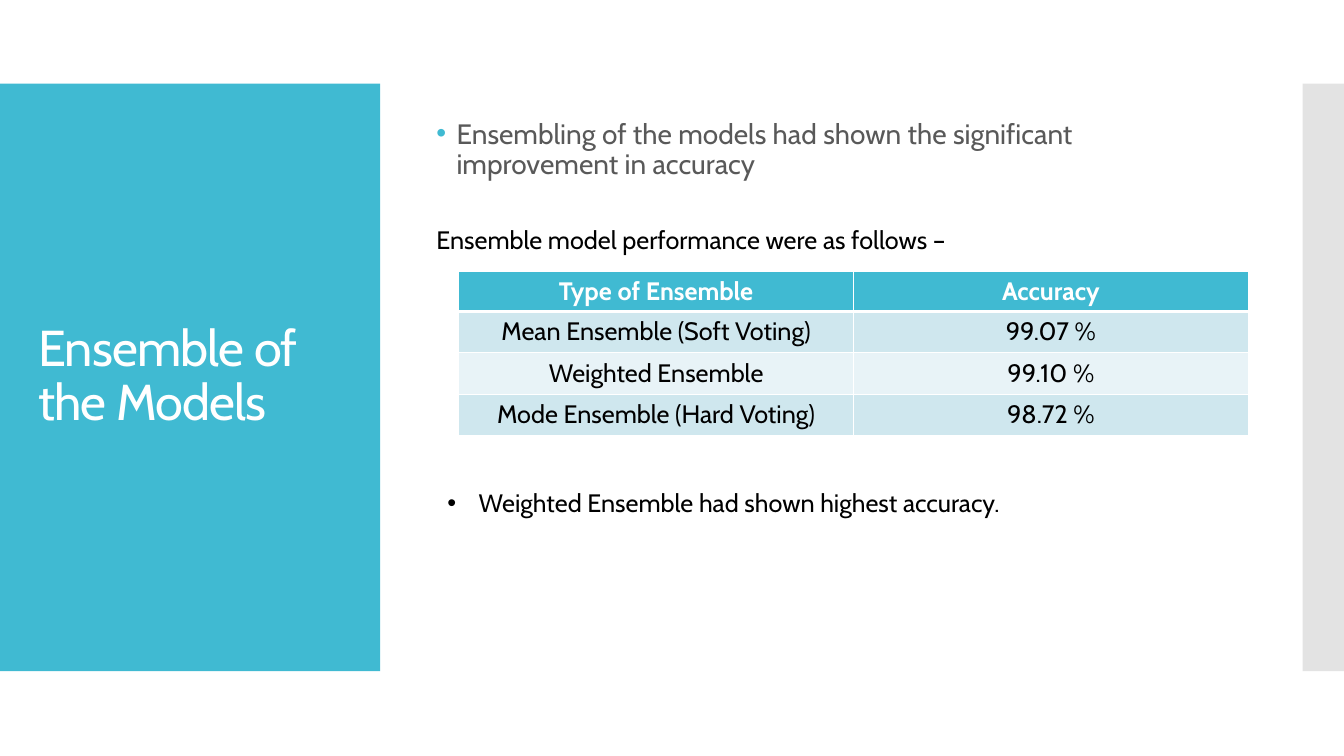
import pptx
import pptx.util
import pptx.dml.color
import pptx.enum.shapes
import pptx.enum.text
import pptx.oxml
import pptx.oxml.ns
from lxml import etree

Inches, Pt = pptx.util.Inches, pptx.util.Pt
qn = pptx.oxml.ns.qn
ANCHOR = pptx.enum.text.MSO_ANCHOR
ALIGN = pptx.enum.text.PP_ALIGN

COLORS = {
    "teal": "40BAD2", "gray": "C8C8C8", "white": "FFFFFF", "black": "000000",
    "body": "595959", "band_dark": "CFE7EE", "band_light": "E8F3F7",
}
ROWS = [
    ("Type of Ensemble", "Accuracy"),
    ("Mean Ensemble (Soft Voting)", "99.07 %"),
    ("Weighted Ensemble", "99.10 %"),
    ("Mode Ensemble (Hard Voting)", "98.72 %"),
]
ROW_HEIGHTS = [0.35, 0.41, 0.41, 0.41]


def rgb(name):
    return pptx.dml.color.RGBColor.from_string(COLORS[name])


def write(tf, text, color, size=18, para=None, **font):
    """Fill the first paragraph of a text frame with one formatted run."""
    p = tf.paragraphs[0]
    for key, value in (para or {}).items():
        setattr(p, key, value)
    r = p.add_run()
    r.text = text
    for key, value in {"name": "Cabin", "size": Pt(size), **font}.items():
        setattr(r.font, key, value)
    r.font.color.rgb = rgb(color)
    return p


def add_text(s, box, text, color, size=18, anchor=ANCHOR.TOP, para=None):
    tf = s.shapes.add_textbox(*map(Inches, box)).text_frame
    tf.word_wrap = True
    tf.vertical_anchor = anchor
    return write(tf, text, color, size, para)


def add_bullet(p, indent, color):
    pPr = p._p.get_or_add_pPr()
    pPr.set("marL", str(Inches(indent)))
    pPr.set("indent", str(-Inches(indent)))
    clr = etree.SubElement(pPr, qn("a:buClr"))
    etree.SubElement(clr, qn("a:srgbClr"), val=COLORS[color])
    etree.SubElement(pPr, qn("a:buFont"), typeface="Arial")
    etree.SubElement(pPr, qn("a:buChar"), char="•")


def add_panel(s, box, color, opacity=100):
    sp = s.shapes.add_shape(pptx.enum.shapes.MSO_SHAPE.RECTANGLE, *map(Inches, box))
    sp.shadow.inherit = False
    sp.fill.solid()
    sp.fill.fore_color.rgb = rgb(color)
    sp.line.fill.background()
    if opacity < 100:
        clr = sp._element.spPr.find(qn("a:solidFill")).find(qn("a:srgbClr"))
        etree.SubElement(clr, qn("a:alpha"), val=str(opacity * 1000))


def set_borders(cell, widths):
    tcPr = cell._tc.get_or_add_tcPr()
    for i, (side, width) in enumerate(widths.items()):
        ln = etree.Element(qn("a:ln" + side), w=str(Pt(width)))
        fill = etree.SubElement(ln, qn("a:solidFill"))
        etree.SubElement(fill, qn("a:srgbClr"), val=COLORS["white"])
        tcPr.insert(i, ln)


def title_panel(s, box):
    x, y, w, h = box
    add_panel(s, box, "teal")
    p = add_text(s, (x + 0.28, y + 0.4, w - 0.55, h - 0.8), "Ensemble of the Models",
                 "white", 36, ANCHOR.MIDDLE, {"line_spacing": 0.9})
    p.runs[0]._r.get_or_add_rPr().set("spc", "-60")


def accuracy_table(s, box):
    table = s.shapes.add_table(len(ROWS), len(ROWS[0]), *map(Inches, box)).table
    for col in table.columns:
        col.width = Inches(box[2] / len(ROWS[0]))
    for i, values in enumerate(ROWS):
        header = i == 0
        table.rows[i].height = Inches(ROW_HEIGHTS[i])
        fill = "teal" if header else "band_dark" if i % 2 else "band_light"
        for j, value in enumerate(values):
            cell = table.cell(i, j)
            cell.fill.solid()
            cell.fill.fore_color.rgb = rgb(fill)
            write(cell.text_frame, value, "white" if header else "black",
                  para={"alignment": ALIGN.CENTER}, bold=header)
            set_borders(cell, {"L": 1, "R": 1, "T": 3 if i == 1 else 1,
                               "B": 3 if header else 1})


def content(s, box):
    x, y, w, h = box
    # Opening statement
    p = add_text(s, (x, y, w, 1.1),
                 "Ensembling of the models had shown the significant improvement in accuracy",
                 "body", 20, ANCHOR.MIDDLE, {"line_spacing": 0.9, "space_before": Pt(12)})
    add_bullet(p, 0.2, "teal")
    # Results
    add_text(s, (x, y + 1.24, w, 0.4), "Ensemble model performance were as follows –", "black")
    accuracy_table(s, (x + 0.32, y + 1.75, w - 0.17, sum(ROW_HEIGHTS)))
    # Conclusion
    p = add_text(s, (x + 0.11, y + h - 0.4, w, 0.4),
                 "Weighted Ensemble had shown highest accuracy.", "black")
    add_bullet(p, 0.31, "black")


def main():
    prs = pptx.Presentation()
    prs.slide_width, prs.slide_height = Inches(13.33), Inches(7.5)
    s = prs.slides.add_slide(prs.slide_layouts[6])
    title_panel(s, (0, 0.83, 3.77, 5.83))
    add_panel(s, (12.92, 0.83, 0.41, 5.83), "gray", 50)
    content(s, (4.23, 0.94, 8, 4.25))
    prs.save("out.pptx")


if __name__ == "__main__":
    main()
